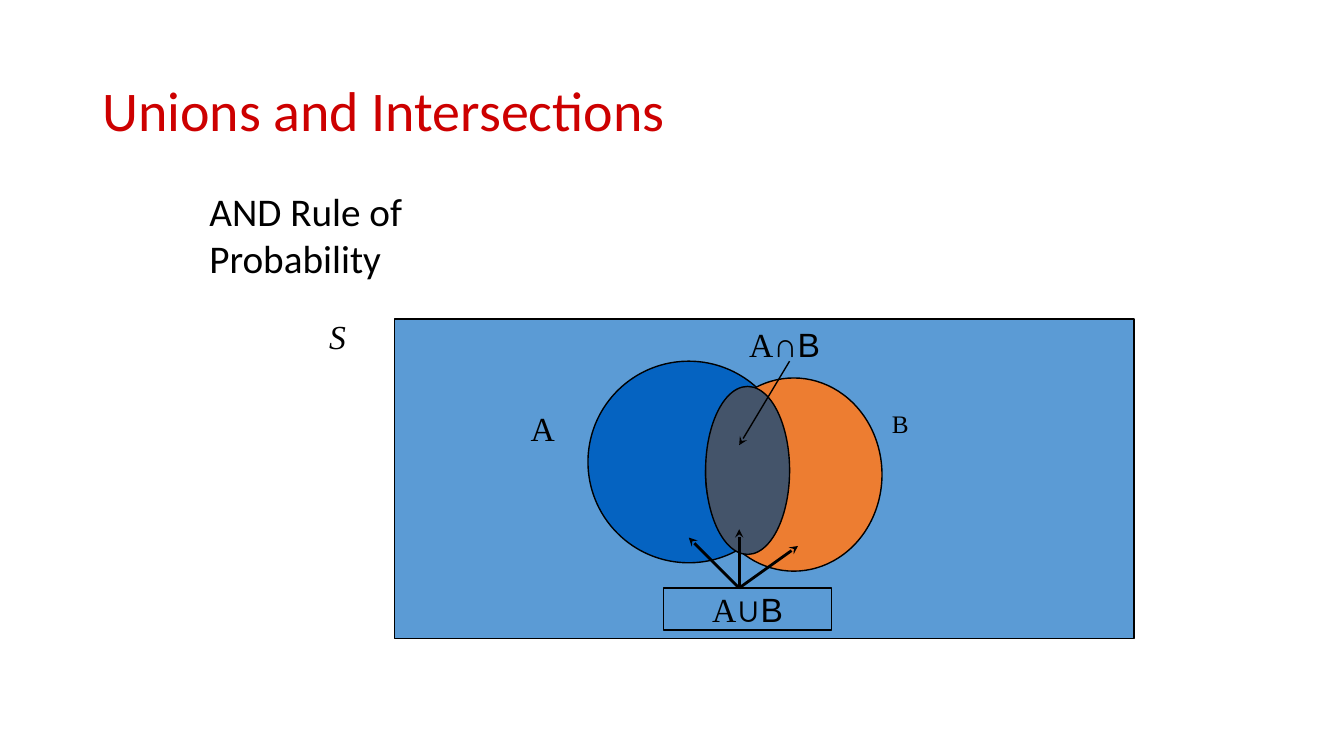
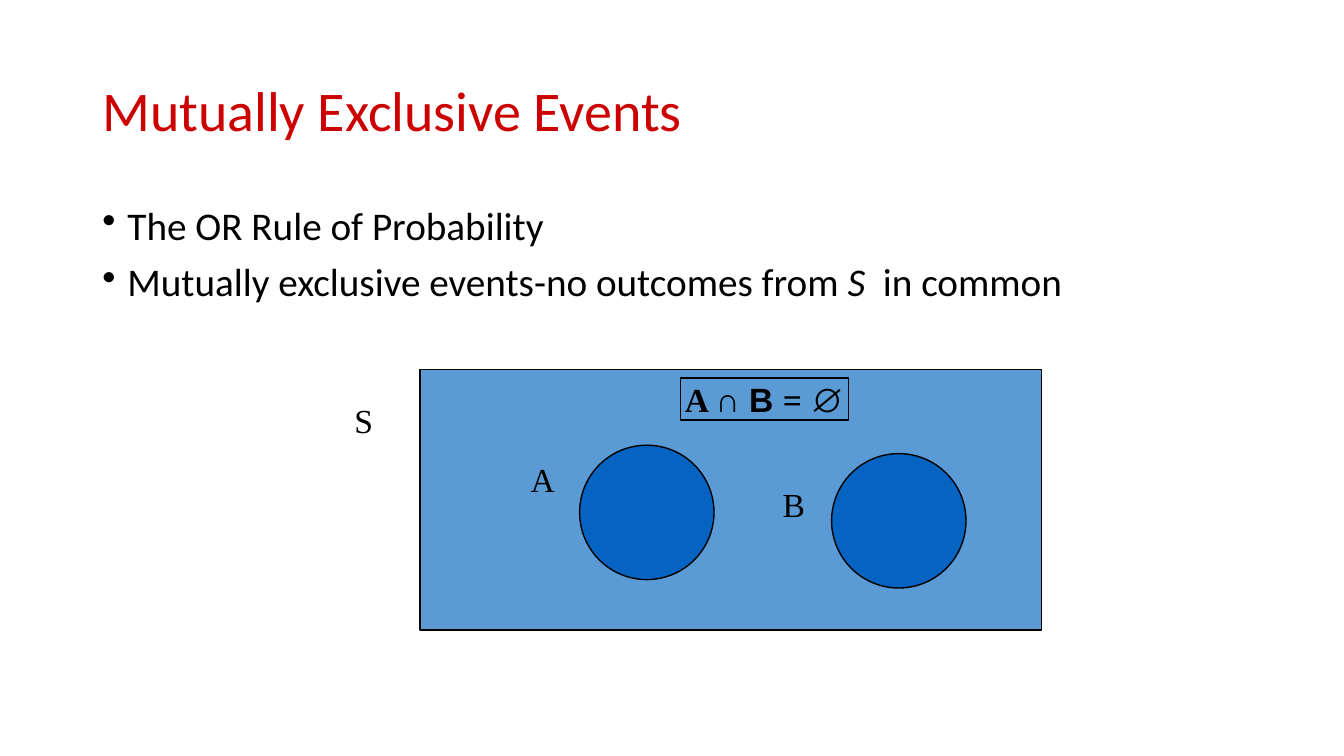
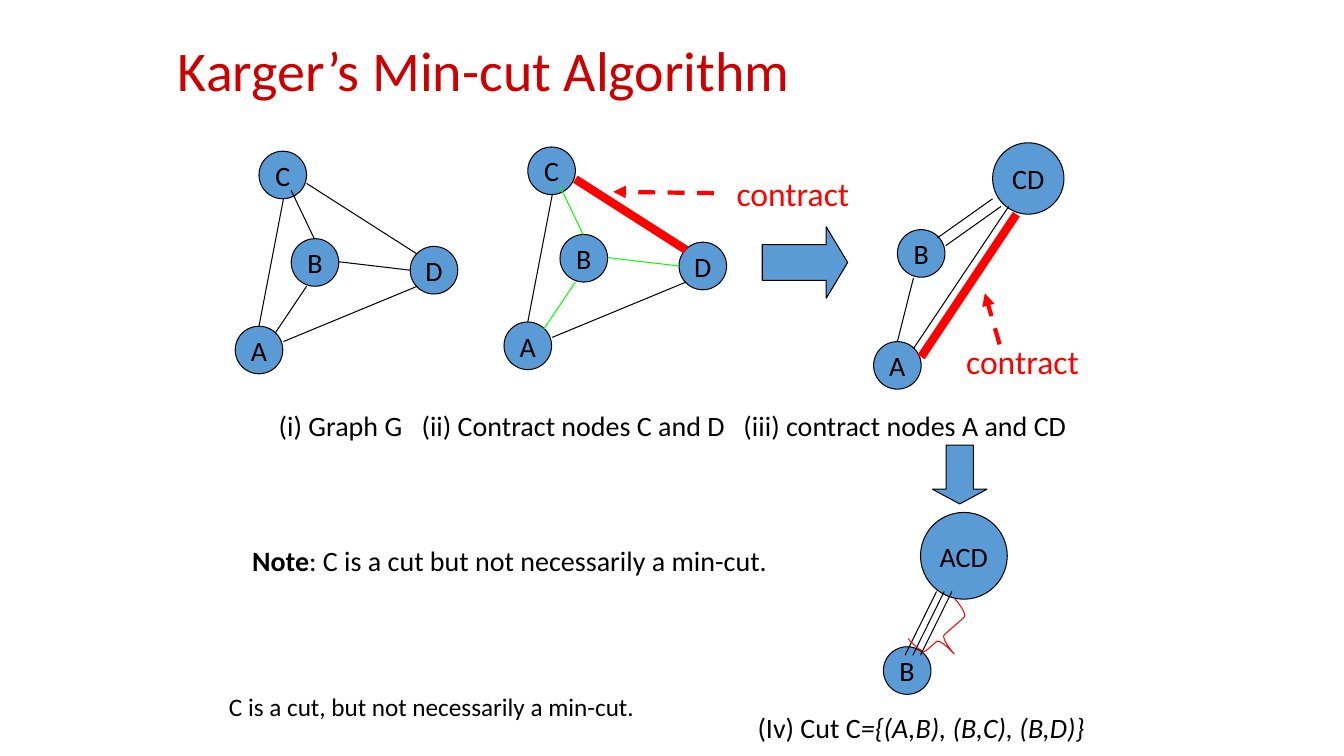
"""Build three slides on event unions, exclusive events and Karger's min-cut."""
from dataclasses import dataclass

from lxml import etree
from pptx import Presentation
from pptx import util as u
from pptx.dml.color import RGBColor
from pptx.enum import dml, shapes, text
from pptx.oxml import ns

BLACK = RGBColor(0x00, 0x00, 0x00)
TITLE_RED = RGBColor(0xCD, 0x00, 0x00)
RED = RGBColor(0xFF, 0x00, 0x00)
GREEN = RGBColor(0x00, 0xFF, 0x00)
SKY = RGBColor(0x5B, 0x9B, 0xD5)
BLUE = RGBColor(0x05, 0x63, 0xC1)
ORANGE = RGBColor(0xED, 0x7D, 0x31)
SLATE = RGBColor(0x44, 0x54, 0x6A)
SANS, SERIF, SYMBOL = "Calibri", "Times New Roman", "Arial"
Preset = shapes.MSO_SHAPE
THIN = 0.75
NODE_SIZE = 34


@dataclass(frozen=True)
class Box:
    left: float
    top: float
    width: float
    height: float

    def lengths(self):
        return [u.Pt(side) for side in (self.left, self.top, self.width, self.height)]


@dataclass(frozen=True)
class Run:
    text: str
    name: str = SANS
    bold: bool | None = None
    italic: bool | None = None


@dataclass(frozen=True)
class Stroke:
    color: RGBColor = BLACK
    width: float = THIN
    dashed: bool = False
    head: str = ""


@dataclass(frozen=True)
class Edge:
    start: tuple[float, float]
    end: tuple[float, float]
    stroke: Stroke = Stroke()


@dataclass(frozen=True)
class Node:
    label: str
    left: float
    top: float
    size: float = NODE_SIZE


HEAVY = Stroke(RED, 6)
LIGHT_GREEN = Stroke(GREEN)
POINTER = Stroke(RED, 3, True, "triangle")
THIN_STEALTH = Stroke(width=1, head="stealth")
THICK_STEALTH = Stroke(width=2, head="stealth")


def fill_paragraph(paragraph, runs: list[Run], size: float, color: RGBColor = BLACK) -> None:
    """Write runs, setting on the paragraph whatever they share."""
    paragraph.font.size = u.Pt(size)
    paragraph.font.color.rgb = color
    parts = [paragraph.add_run() for _ in runs]
    for part, run in zip(parts, runs):
        part.text = run.text
    for trait in ("name", "bold", "italic"):
        values = [getattr(run, trait) for run in runs]
        if len(set(values)) == 1:
            setattr(paragraph.font, trait, values[0])
        else:
            for part, value in zip(parts, values):
                setattr(part.font, trait, value)


def add_text(slide, box: Box, runs: list[Run], size: float, color: RGBColor = BLACK):
    """Add a wrapping text box of one paragraph and return its frame."""
    frame = slide.shapes.add_textbox(*box.lengths()).text_frame
    frame.word_wrap = True
    fill_paragraph(frame.paragraphs[0], runs, size, color)
    return frame


def add_title(slide, words: str) -> None:
    """Add a title in the standard place."""
    frame = add_text(slide, Box(66, 29, 828, 104), [Run(words)], 40, TITLE_RED)
    frame.vertical_anchor = text.MSO_ANCHOR.MIDDLE
    frame.paragraphs[0].line_spacing = 0.9


def add_bullets(slide, box: Box, items: list[list[Run]]) -> None:
    """Add a bulleted list."""
    frame = slide.shapes.add_textbox(*box.lengths()).text_frame
    frame.word_wrap = True
    for index, runs in enumerate(items):
        paragraph = frame.add_paragraph() if index else frame.paragraphs[0]
        fill_paragraph(paragraph, runs, 28)
        paragraph.line_spacing = 0.9
        paragraph.space_before = u.Pt(10)
        properties = paragraph._p.get_or_add_pPr()
        properties.set("marL", str(u.Pt(18)))
        properties.set("indent", str(u.Pt(-18)))
        bullet = etree.Element(ns.qn("a:buChar"), char="•")
        properties.find(ns.qn("a:defRPr")).addprevious(bullet)


def add_figure(slide, preset: Preset, box: Box, fill: RGBColor | None, line_width: float = 1,
               line_color: RGBColor = BLACK, adjustments: tuple[float, ...] = (),
               rotation: float = 0):
    """Add an outlined preset shape."""
    figure = slide.shapes.add_shape(preset, *box.lengths())
    figure.shadow.inherit = False
    if fill is None:
        figure.fill.background()
    else:
        figure.fill.solid()
        figure.fill.fore_color.rgb = fill
    figure.line.color.rgb = line_color
    figure.line.width = u.Pt(line_width)
    for index, value in enumerate(adjustments):
        figure.adjustments[index] = value
    figure.rotation = rotation
    return figure


def center_text(figure, runs: list[Run], size: float) -> None:
    """Centre unwrapped text in a shape."""
    frame = figure.text_frame
    frame.word_wrap = False
    frame.vertical_anchor = text.MSO_ANCHOR.MIDDLE
    frame.paragraphs[0].alignment = text.PP_ALIGN.CENTER
    fill_paragraph(frame.paragraphs[0], runs, size)


def add_node(slide, node: Node, origin: tuple[float, float] = (0, 0)) -> None:
    """Add a labelled graph node."""
    box = Box(origin[0] + node.left, origin[1] + node.top, node.size, node.size)
    center_text(add_figure(slide, Preset.OVAL, box, SKY, THIN), [Run(node.label)], 20)


def add_edge(slide, edge: Edge, origin: tuple[float, float] = (0, 0)) -> None:
    """Add a straight line with its stroke and arrowhead."""
    ends = [u.Pt(shift + at) for point in (edge.start, edge.end)
            for shift, at in zip(origin, point)]
    line = slide.shapes.add_connector(shapes.MSO_CONNECTOR.STRAIGHT, *ends)
    line.line.color.rgb = edge.stroke.color
    line.line.width = u.Pt(edge.stroke.width)
    if edge.stroke.dashed:
        line.line.dash_style = dml.MSO_LINE.DASH
    properties = line.element.spPr
    if edge.stroke.head:
        etree.SubElement(properties.find(ns.qn("a:ln")), ns.qn("a:tailEnd"),
                         type=edge.stroke.head)
    etree.SubElement(properties, ns.qn("a:effectLst"))


def add_set_label(slide, letter: str, left: float, top: float, size: float = 24,
                  italic: bool | None = None) -> None:
    """Name a set or the sample space."""
    add_text(slide, Box(left, top, 48, 37), [Run(letter, SERIF, italic=italic)], size)


def add_formula(slide, box: Box, runs: list[Run]) -> None:
    """Add a framed set formula."""
    center_text(add_figure(slide, Preset.RECTANGLE, box, SKY), runs, 24)


def build_unions(slide) -> None:
    """Draw two overlapping events."""
    add_figure(slide, Preset.RECTANGLE, Box(282, 228, 528, 228), SKY)
    add_title(slide, "Unions and Intersections")
    add_set_label(slide, "S", 228, 222, italic=True)
    add_figure(slide, Preset.OVAL, Box(420, 258, 144, 144), BLUE)
    add_figure(slide, Preset.OVAL, Box(504, 270, 126, 138), ORANGE)
    add_set_label(slide, "A", 372, 288)
    add_set_label(slide, "B", 630, 288, 18)
    add_figure(slide, Preset.OVAL, Box(504, 276, 60, 120), SLATE)
    add_text(slide, Box(528, 228, 96, 37), [Run("A", SERIF), Run("∩Β", SYMBOL)], 24)
    add_edge(slide, Edge((564, 258), (528, 318), THIN_STEALTH))
    add_formula(slide, Box(474, 420, 120, 30), [Run("A", SERIF), Run("∪Β", SYMBOL)])
    for region in ((492, 384), (528, 378), (570, 390)):
        add_edge(slide, Edge((528, 420), region, THICK_STEALTH))
    add_text(slide, Box(142.5, 130, 265, 75), [Run("AND Rule of Probability")], 28)


def build_exclusive(slide) -> None:
    """Draw two events that share nothing."""
    add_title(slide, "Mutually Exclusive Events")
    add_bullets(slide, Box(66, 144, 828, 343), [
        [Run("The OR Rule of Probability")],
        [Run("Mutually exclusive events-no outcomes from "), Run("S ", italic=True),
         Run(" in common")],
    ])
    add_figure(slide, Preset.RECTANGLE, Box(300, 264, 444, 186), SKY)
    for left, top in ((414, 318), (594, 324)):
        add_figure(slide, Preset.OVAL, Box(left, top, 96, 96), BLUE)
    for letter, left, top in (("S", 246, 282), ("A", 372, 324), ("B", 552, 342)):
        add_set_label(slide, letter, left, top)
    add_formula(slide, Box(486, 270, 120, 30), [
        Run("A ", SERIF, True), Run("∩ Β ", SYMBOL, True),
        Run("= ", SERIF, True), Run("∅", SYMBOL, True)])


def add_full_graph(slide, origin: tuple[float, float], contracted: Stroke,
                   around_b: Stroke) -> None:
    """Draw the four-node graph at an origin."""
    for node in (Node("A", 0, 125), Node("D", 125, 68), Node("B", 40, 62.5),
                 Node("C", 17, 0)):
        add_node(slide, node, origin)
    for edge in (
        Edge((17, 125), (34.5, 34)),
        Edge((51, 23), (130, 73.5), contracted),
        Edge((34.5, 136), (130, 96.5)),
        Edge((74, 79), (125, 85), around_b),
        Edge((56.5, 62.5), (40, 28), around_b),
        Edge((51, 96.5), (28.5, 130), around_b),
    ):
        add_edge(slide, edge, origin)


def build_min_cut(slide) -> None:
    """Draw the contraction steps."""
    add_text(slide, Box(120, 21.5, 702, 90), [Run("Karger’s Min-cut Algorithm")],
             40, TITLE_RED)
    add_full_graph(slide, (168, 108), Stroke(), Stroke())
    add_full_graph(slide, (360, 105), HEAVY, LIGHT_GREEN)

    for node in (Node("A", 624, 244), Node("B", 641, 164), Node("CD", 709, 102, 51),
                 Node("B", 631, 462), Node("ACD", 657.5, 366, 62)):
        add_node(slide, node)
    for edge in (
        Edge((652.5, 198.5), (641, 244)),
        Edge((669.5, 170), (709, 142)),
        Edge((675.5, 175.5), (715, 147.5)),
        Edge((652.5, 249), (720.5, 147.5)),
        Edge((658, 255), (726, 153), HEAVY),
        Edge((510, 138), (438, 137), POINTER),
        Edge((714, 246), (703.5, 209.5), POINTER),
    ):
        add_edge(slide, edge)
    for parallel in range(3):
        add_edge(slide, Edge((646.5, 468), (669, 422.5)), (5.5 * parallel, 0))

    for left, top in ((514, 120), (678, 240)):
        add_text(slide, Box(left + 5, top, 98, 36), [Run("contract")], 24, RED)
    add_figure(slide, Preset.RIGHT_ARROW, Box(544.5, 162, 61, 51), SKY, THIN,
               adjustments=(0.5, 0.3))
    add_figure(slide, Preset.RIGHT_ARROW, Box(664.5, 319.5, 42, 39), SKY, THIN,
               adjustments=(0.5, 0.27), rotation=90)
    add_figure(slide, Preset.RIGHT_BRACE, Box(660, 431, 30, 44), None, THIN, RED,
               (0.12, 0.6), 48.8)

    for caption, left, width in (("(i) Graph G", 192, 110),
                                 ("(ii) Contract nodes C and D", 294, 240),
                                 ("(iii) contract nodes A and CD", 524, 260)):
        add_text(slide, Box(left, 288, width, 32), [Run(caption)], 20)
    add_text(slide, Box(173, 385, 400, 32),
             [Run("Note", bold=True), Run(": C is a cut but not necessarily a min-cut.")], 20)
    add_text(slide, Box(156.5, 490, 330, 29),
             [Run("C is a cut, but not necessarily a min-cut.")], 18)
    add_text(slide, Box(534, 504, 300, 31),
             [Run("(Iv) Cut C"), Run("={(A,B), (B,C), (B,D)}", italic=True)], 20)


def main() -> None:
    """Build and save the presentation."""
    deck = Presentation()
    deck.slide_width, deck.slide_height = u.Pt(960), u.Pt(540)
    for build in (build_unions, build_exclusive, build_min_cut):
        build(deck.slides.add_slide(deck.slide_layouts[6]))
    deck.save("out.pptx")


main()
